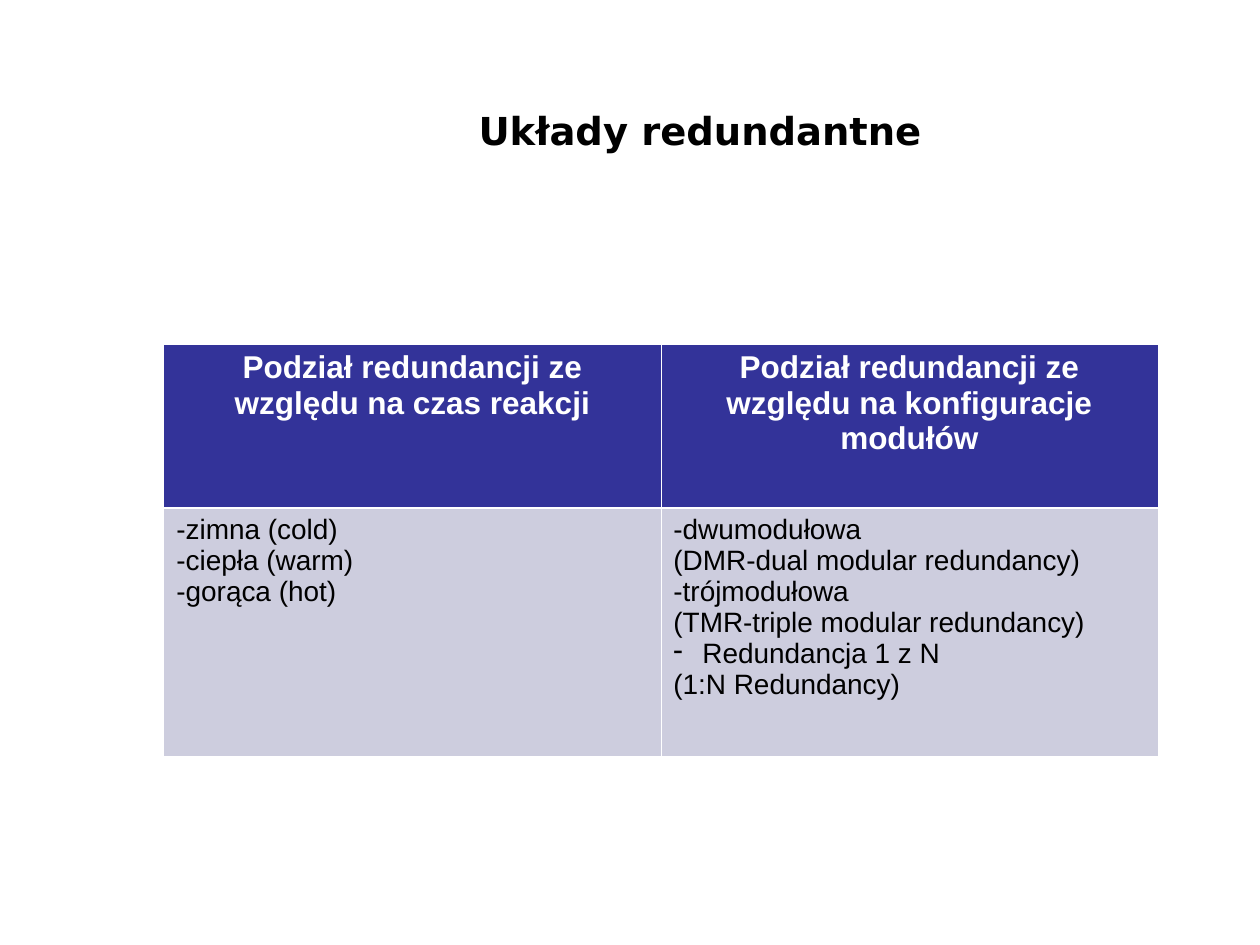
from pptx import Presentation
from pptx.dml.color import RGBColor
from pptx.enum.text import MSO_ANCHOR as Anchor, PP_ALIGN as Align
from pptx.oxml.ns import qn
from pptx.util import Inches, Pt
from lxml.etree import SubElement as Sub

BLACK = RGBColor(0, 0, 0)
WHITE = RGBColor(255, 255, 255)
NAVY = RGBColor(0x33, 0x33, 0x99)
GREY = RGBColor(0xCD, 0xCD, 0xDE)
THIN, THICK = 0.45, 1.47

HEADS = [
    "Podział redundancji ze względu na czas reakcji",
    "Podział redundancji ze względu na konfiguracje modułów",
]
DASHED = "Redundancja 1 z N"
LISTS = [
    ["-zimna (cold)", "-ciepła (warm)", "-gorąca (hot)"],
    [
        "-dwumodułowa",
        "(DMR-dual modular redundancy)",
        "-trójmodułowa",
        "(TMR-triple modular redundancy)",
        DASHED,
        "(1:N Redundancy)",
    ],
]


class Deck:
    face = "Arial"

    def __init__(self):
        self.deck = Presentation()
        self.deck.slide_width = Inches(10)
        self.deck.slide_height = Inches(7.5)
        self.slide = self.deck.slides.add_slide(self.deck.slide_layouts[5])

    def add_text(self, para, text, size, color, bold=False, face=None):
        run = para.add_run()
        run.text = text
        font = run.font
        font.name, font.size, font.bold = face or self.face, Pt(size), bold
        font.color.rgb = color

    def title(self, text, left, top, width, height):
        box = self.slide.shapes.title
        box.left, box.top = Inches(left), Inches(top)
        box.width, box.height = Inches(width), Inches(height)
        frame = box.text_frame
        frame.vertical_anchor = Anchor.MIDDLE
        para = frame.paragraphs[0]
        para.alignment = Align.CENTER
        self.add_text(para, text, 22, BLACK, True, "DejaVu Sans")

    def dash(self, para):
        props = para._p.get_or_add_pPr()
        props.set("marL", str(Inches(0.23)))
        props.set("indent", str(-Inches(0.23)))
        Sub(props, qn("a:buChar"), char="-")

    def edge(self, cell, top, bottom):
        props = cell._tc.get_or_add_tcPr()
        for side, width in zip("LRTB", (THIN, THIN, top, bottom)):
            line = Sub(props, qn(f"a:ln{side}"), w=str(Pt(width)))
            fill = Sub(line, qn("a:solidFill"))
            Sub(fill, qn("a:srgbClr"), val=str(WHITE))

    def cell(self, cell, lines, head):
        self.edge(cell, THIN if head else THICK, THICK if head else THIN)
        cell.fill.solid()
        cell.fill.fore_color.rgb = NAVY if head else GREY
        frame = cell.text_frame
        for i, text in enumerate(lines):
            para = frame.add_paragraph() if i else frame.paragraphs[0]
            para.alignment = Align.CENTER if head else Align.LEFT
            if text == DASHED:
                self.dash(para)
            self.add_text(para, text, 18 if head else 16,
                          WHITE if head else BLACK, head)

    def table(self, left, top, width, heights):
        rows = [[[head] for head in HEADS], LISTS]
        grid = self.slide.shapes.add_table(
            len(rows), len(HEADS), Inches(left), Inches(top),
            Inches(width), Inches(sum(heights))).table
        for r, (row, height) in enumerate(zip(rows, heights)):
            grid.rows[r].height = Inches(height)
            for c, lines in enumerate(row):
                self.cell(grid.cell(r, c), lines, r == 0)

    def save(self):
        self.deck.save("out.pptx")


def main():
    deck = Deck()
    deck.title("Układy redundantne", 1.61, 0.52, 7.89, 1.03)
    deck.table(1.3, 2.73, 7.89, (1.3, 1.97))
    deck.save()


if __name__ == "__main__":
    main()
